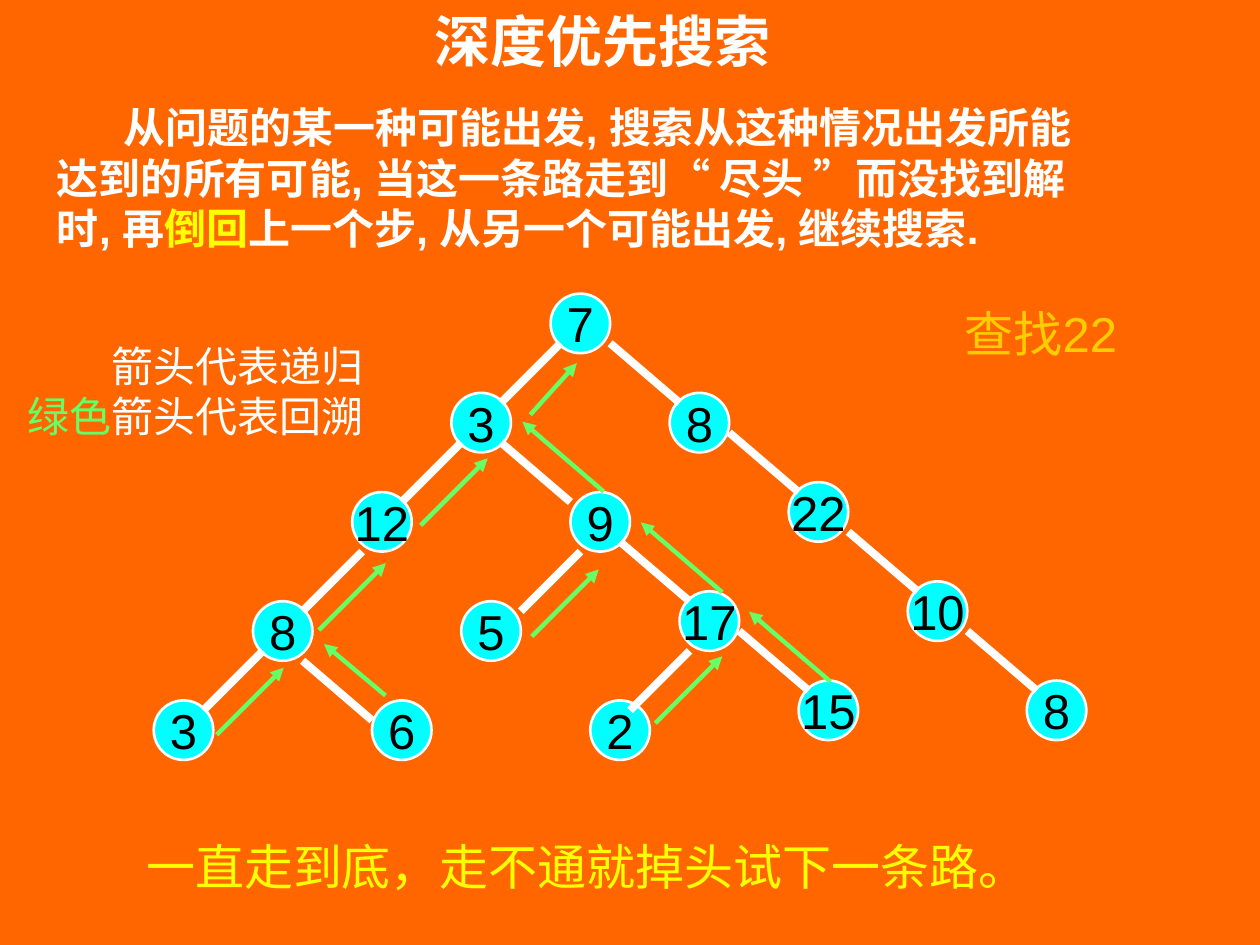
from pptx import Presentation
from pptx.dml.color import RGBColor
from pptx.enum.shapes import MSO_CONNECTOR, MSO_SHAPE
from pptx.enum.text import MSO_ANCHOR, MSO_AUTO_SIZE, PP_ALIGN
from pptx.oxml.ns import qn
from pptx.util import Cm, Pt
from lxml import etree

LINE = MSO_CONNECTOR.STRAIGHT
OVAL = MSO_SHAPE.OVAL
TOP, MIDDLE = MSO_ANCHOR.TOP, MSO_ANCHOR.MIDDLE
LEFT, CENTER = PP_ALIGN.LEFT, PP_ALIGN.CENTER
NO_FIT = MSO_AUTO_SIZE.NONE

ORANGE, GREEN, CYAN = "FF6600", "66FF66", "00FFFF"
WHITE, BLACK, YELLOW, GOLD = "FFFFFF", "000000", "FFFF00", "FFCC00"

UNIT = 0.2  # tree grid step, cm
SIZE = 6    # node width in steps

# Label, column, row, then the side the edge comes down to
# and where on the node it ends; the root has no edge.
NODES = [
    ("7", 40, 0, None),
    ("3", 30, 10, ("left", 5, 1)),
    ("22", 64, 19, ("right", 1, 1)),
    ("8", 10, 31, ("left", 5, 1)),
    ("8", 52, 10, ("right", 1, 1)),
    ("9", 42, 20, ("right", 0, 1)),
    ("12", 20, 20, ("left", 5, 1)),
    ("10", 76, 29, ("right", 1, 1)),
    ("17", 53, 30, ("right", 1, 1)),
    ("5", 31, 31, ("left", 6, 1)),
    ("6", 22, 41, ("right", 0, 2)),
    ("8", 88, 39, ("right", 1, 1)),
    ("15", 65, 39, ("right", 1, 1)),
    ("2", 44, 41, ("left", 4, 1)),
    ("3", 0, 41, ("left", 5, 1)),
]
SPANS = {"left": (-6, 6), "right": (7, 6)}

# Step (dx, dy) and starting points of the backtracking arrows, in cm
ARROWS = [
    ((1.35, -1.35), [(1.27, 8.89), (3.33, 6.78), (5.38, 4.67),
                     (7.62, 6.91), (10.11, 8.66)]),
    ((-1.64, -1.41), [(13.64, 7.82), (11.46, 6.02), (9.07, 3.99)]),
    ((-1.24, -1.04), [(4.67, 8.1)]),
    ((0.94, -1.04), [(7.59, 2.44)]),
]


def color(code):
    return RGBColor.from_string(code)


def style(run, size, code, bold=False):
    font = run.font
    font.name, font.size, font.bold = "Arial", Pt(size), bold
    font.color.rgb = color(code)


def add_title(slide, text, box):
    title = slide.shapes.title
    title.left, title.top, title.width, title.height = map(Cm, box)
    frame = title.text_frame
    frame.text = text
    frame.word_wrap = False
    frame.auto_size = NO_FIT
    frame.vertical_anchor = TOP
    frame.paragraphs[0].alignment = LEFT
    style(frame.paragraphs[0].runs[0], 32, WHITE, True)


def add_text(slide, box, size, lines, bold=False, indent=0):
    """Place a text box of lines, each a list of (text, colour) parts; indent the first."""
    frame = slide.shapes.add_textbox(*map(Cm, box)).text_frame
    frame.word_wrap = True
    for i, parts in enumerate(lines):
        para = frame.add_paragraph() if i else frame.paragraphs[0]
        for text, code in parts:
            run = para.add_run()
            run.text = text
            style(run, size, code, bold)
    if indent:
        frame.paragraphs[0]._p.get_or_add_pPr().set("indent", str(Cm(indent)))


def add_line(slide, start, step, code, width, arrow=False):
    x, y = start
    dx, dy = step
    line = slide.shapes.add_connector(LINE, Cm(x), Cm(y), Cm(x + dx), Cm(y + dy))
    line.line.color.rgb = color(code)
    line.line.width = Pt(width)
    if arrow:
        etree.SubElement(line.line._get_or_add_ln(), qn("a:tailEnd"), type="triangle")
    etree.SubElement(line._element.spPr, qn("a:effectLst"))


def add_node(slide, label, x, y):
    side = Cm(SIZE * UNIT)
    node = slide.shapes.add_shape(OVAL, Cm(x), Cm(y), side, side)
    node.shadow.inherit = False
    node.fill.solid()
    node.fill.fore_color.rgb = color(CYAN)
    node.line.color.rgb = color(WHITE)
    node.line.width = Pt(1.5)
    frame = node.text_frame
    frame.text = label
    frame.word_wrap = False
    frame.vertical_anchor = MIDDLE
    frame.paragraphs[0].alignment = CENTER
    style(frame.paragraphs[0].runs[0], 28, BLACK)


def add_tree(slide, left, top):
    for label, col, row, _ in NODES:
        add_node(slide, label, left + col * UNIT, top + row * UNIT)
    for _, col, row, edge in NODES:
        if edge:
            side, ex, ey = edge
            dx, dy = SPANS[side]
            start = (left + (col + ex - dx) * UNIT, top + (row + ey - dy) * UNIT)
            add_line(slide, start, (dx * UNIT, dy * UNIT), WHITE, 4.5)


def add_arrows(slide, left, top):
    for step, starts in ARROWS:
        for x, y in starts:
            add_line(slide, (left + x, top + y), step, GREEN, 2.5, arrow=True)


def main():
    deck = Presentation()
    deck.slide_width, deck.slide_height = Cm(25.4), Cm(19.05)
    slide = deck.slides.add_slide(deck.slide_layouts[5])
    slide.background.fill.solid()
    slide.background.fill.fore_color.rgb = color(ORANGE)

    add_title(slide, "深度优先搜索", (8.5, 0, 7.3, 1.63))
    add_text(slide, (0.9, 1.93, 21.4, 4.32), 24, [[
        ("从问题的某一种可能出发, 搜索从这种情况出发所能达到的所有可能, "
         "当这一条路走到“ 尽头 ”而没找到解时, 再", WHITE),
        ("倒回", YELLOW),
        ("上一个步, 从另一个可能出发, 继续搜索.", WHITE),
    ]], bold=True, indent=1.35)
    add_text(slide, (2.7, 16.74, 18.8, 1.45), 28,
             [[("一直走到底，走不通就掉头试下一条路。", YELLOW)]])
    add_tree(slide, 3.1, 5.92)
    add_text(slide, (19.2, 6, 4.11, 1.45), 28, [[("查找22", GOLD)]])
    add_arrows(slide, 3.1, 5.92)
    add_text(slide, (0.3, 6.73, 7.72, 2.29), 24, [
        [("箭头代表递归", WHITE)],
        [("绿色", GREEN), ("箭头代表回溯", WHITE)],
    ], indent=1.69)
    deck.save("out.pptx")


if __name__ == "__main__":
    main()
